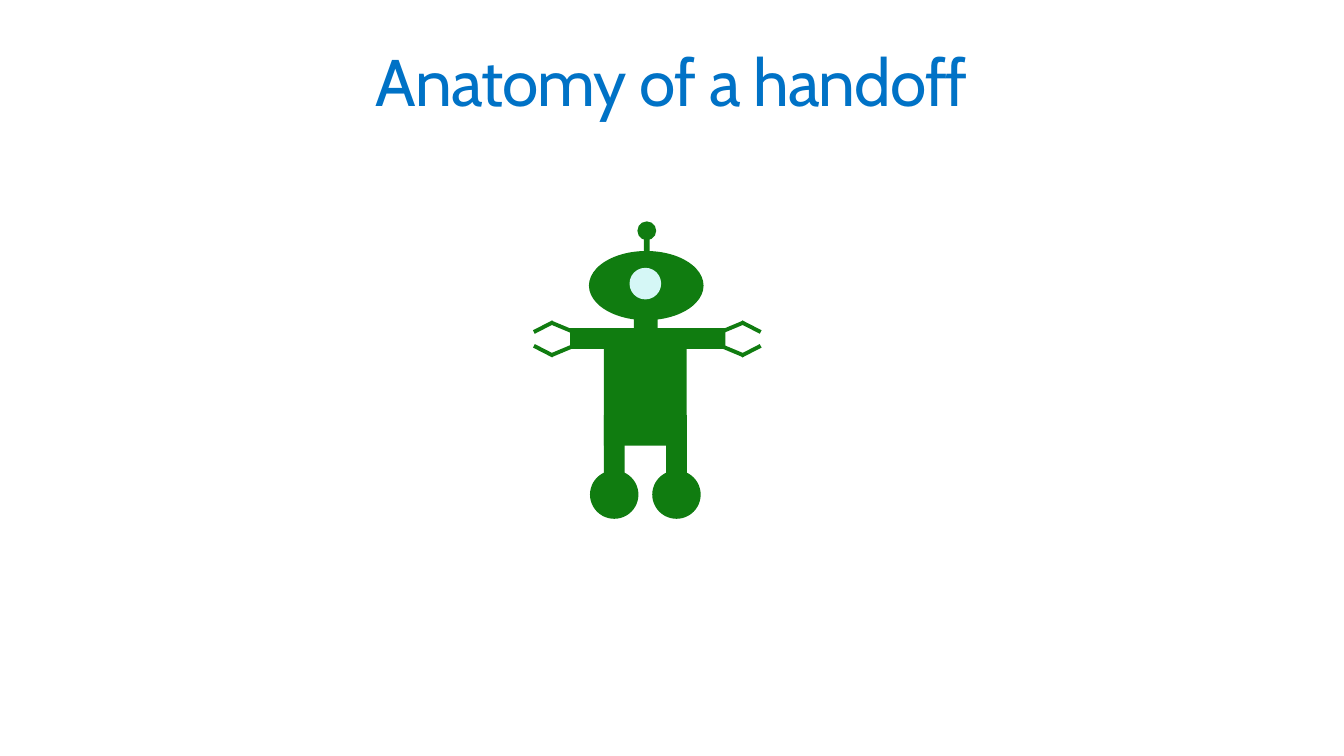
"""Build the "Anatomy of a handoff" slide with a robot drawn from simple shapes."""
import pptx
import pptx.util
import pptx.dml.color
import pptx.enum.shapes
import pptx.enum.text

Inches = pptx.util.Inches
RGB = pptx.dml.color.RGBColor.from_string
SHAPE = pptx.enum.shapes.MSO_SHAPE
COLORS = {"title": "0072C6", "robot": "107C10", "eye": "D5F7F6"}

prs = pptx.Presentation()
prs.slide_width = Inches(13.6)
prs.slide_height = Inches(7.65)
s = prs.slides.add_slide(prs.slide_layouts[5])

title = s.shapes.title
title.left, title.top = Inches(0.4), Inches(0.4)
title.width, title.height = Inches(12.8), Inches(1)
tf = title.text_frame
tf.text = "Anatomy of a handoff"
tf.word_wrap = True
tf.auto_size = pptx.enum.text.MSO_AUTO_SIZE.NONE
tf.vertical_anchor = pptx.enum.text.MSO_ANCHOR.TOP
tf.margin_left = tf.margin_right = tf.margin_top = tf.margin_bottom = Inches(0.1)
p = tf.paragraphs[0]
p.alignment = pptx.enum.text.PP_ALIGN.CENTER
p.line_spacing = 0.9
r = p.runs[0]
r.font.name = "Cabin"
r.font.size = pptx.util.Pt(48)
r.font.color.rgb = RGB(COLORS["title"])
r.font._element.set("spc", "-70")

robot = s.shapes.add_group_shape()


def add_part(kind, x, y, w, h, rotation=0, color="robot"):
    sp = robot.shapes.add_shape(kind, Inches(x), Inches(y), Inches(w), Inches(h))
    sp.rotation = rotation
    sp.shadow.inherit = False
    sp.fill.solid()
    sp.fill.fore_color.rgb = RGB(COLORS[color])
    sp.line.fill.background()


add_part(SHAPE.OVAL, 5.96, 2.54, 1.16, 0.7)
add_part(SHAPE.RECTANGLE, 6.11, 3.32, 0.84, 1.19)
for arm_x in (6.71, 5.77):
    add_part(SHAPE.RECTANGLE, arm_x, 3.32, 0.63, 0.21)
add_part(SHAPE.RECTANGLE, 6.42, 2.46, 0.25, 0.06, 270)
add_part(SHAPE.OVAL, 6.45, 2.24, 0.19, 0.19)
add_part(SHAPE.RECTANGLE, 6.22, 3.21, 0.63, 0.24, 270)
for leg_x in (6.53, 5.9):
    add_part(SHAPE.RECTANGLE, leg_x, 4.41, 0.63, 0.21, 90)
    add_part(SHAPE.OVAL, leg_x + 0.07, 4.76, 0.49, 0.49)

center_x, claw_y, thickness = 6.55, 3.43, 0.04
fingers = [(1.05, 0.12, 0.22, 27.2), (0.84, 0.11, 0.28, -22.7)]
for side in (1, -1):
    for level in (-1, 1):
        for dx, dy, length, angle in fingers:
            x = center_x + side * dx - length / 2
            y = claw_y + level * dy - thickness / 2
            add_part(SHAPE.RECTANGLE, x, y, length, thickness, -side * level * angle)

add_part(SHAPE.OVAL, 6.37, 2.71, 0.32, 0.32, color="eye")

prs.save("out.pptx")
